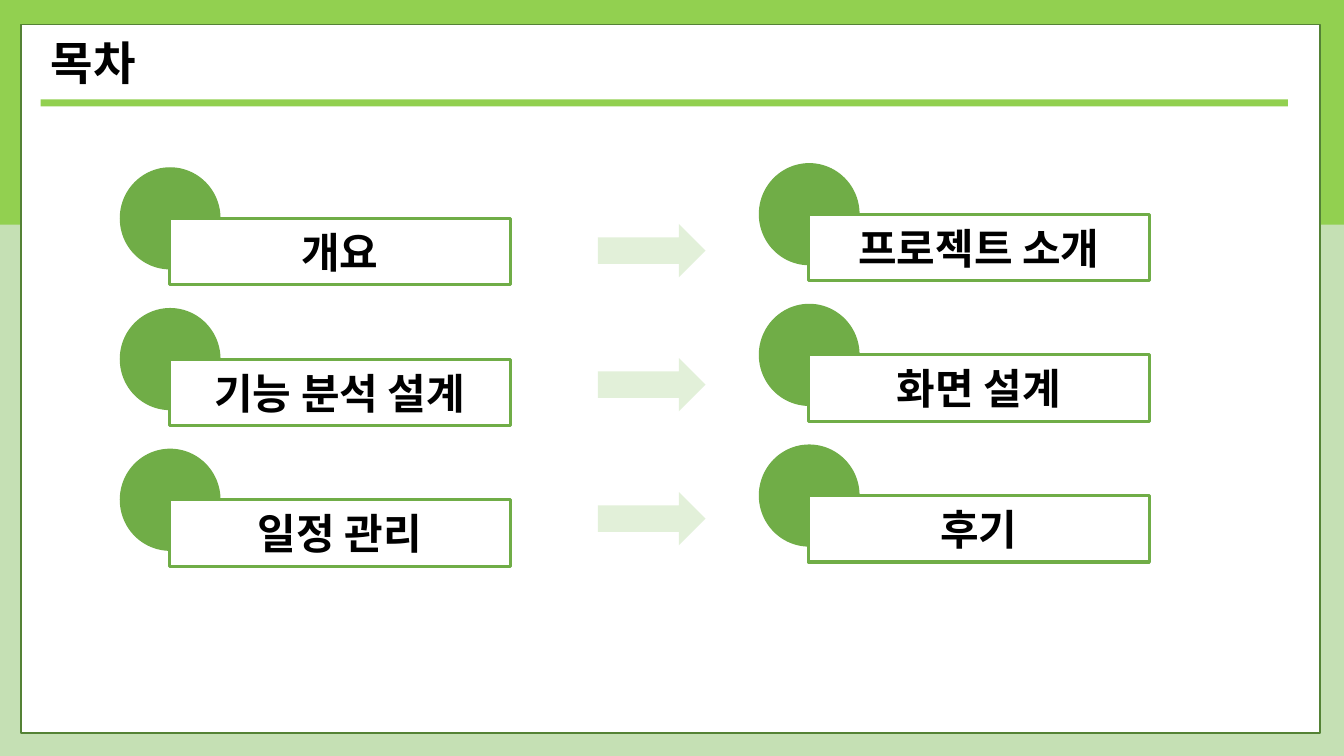
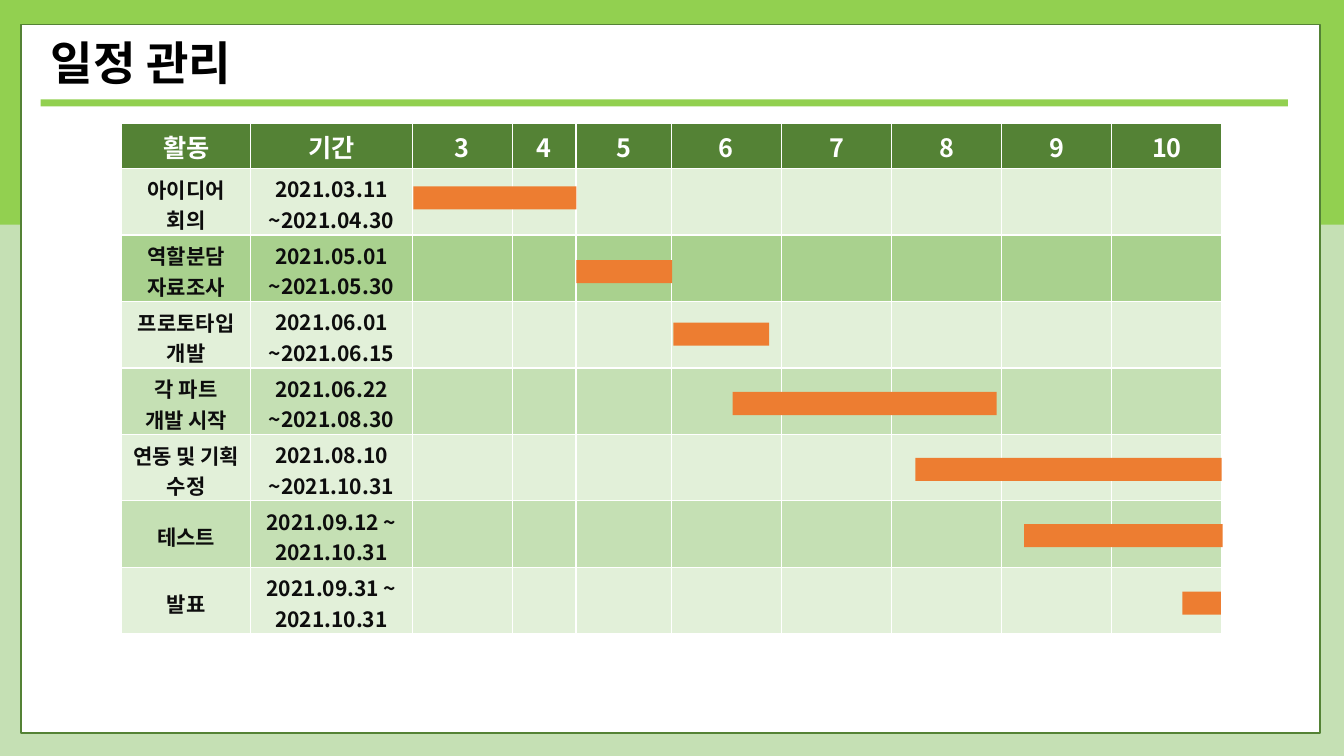
from lxml import etree
from pptx import Presentation
from pptx.dml.color import RGBColor
from pptx.enum import shapes, text
from pptx.oxml.ns import qn
from pptx.util import Pt

FONT = "Noto Sans CJK KR"
WHITE = RGBColor(0xFF, 0xFF, 0xFF)
BLACK = RGBColor(0, 0, 0)
INK = RGBColor(0x0D, 0x0D, 0x0D)
LIME = RGBColor(0x92, 0xD0, 0x50)
GREEN = RGBColor(0x70, 0xAD, 0x47)
DARK_GREEN = RGBColor(0x54, 0x82, 0x35)
MID_GREEN = RGBColor(0xA9, 0xD1, 0x8E)
SOFT_GREEN = RGBColor(0xC5, 0xE0, 0xB4)
PALE_GREEN = RGBColor(0xE2, 0xF0, 0xD9)
ORANGE = RGBColor(0xED, 0x7D, 0x31)

RECT = shapes.MSO_SHAPE.RECTANGLE
CENTER = text.PP_ALIGN.CENTER
MIDDLE = text.MSO_ANCHOR.MIDDLE
TOP = text.MSO_ANCHOR.TOP

BACKDROP = [
    ((0, 0, 960, 540), SOFT_GREEN, None),
    ((0, 0, 960, 160.5), LIME, None),
    ((15, 17.5, 928, 506), WHITE, DARK_GREEN),
    ((29, 71, 891, 5), LIME, None),
]

AGENDA_TITLE = "목차"
AGENDA_COLUMNS = [
    (121, 156, ["개요", "기능 분석 설계", "일정 관리"]),
    (577.5, 153, ["프로젝트 소개", "화면 설계", "후기"]),
]
ITEM_PITCH = 100.5
ARROW_PITCH = 95.75

SCHEDULE_TITLE = "일정 관리"
HEADINGS = ["활동", "기간", "3", "4", "5", "6", "7", "8", "9", "10"]
COLUMN_WIDTHS = [92, 115.5, 71.5, 45.5, 68] + [78.7] * 5
HEADER_HEIGHT, ROW_HEIGHT = 32.4, 47.5
BAR_HEIGHT = 16.5
TASKS = [
    ("아이디어 회의", "2021.03.11 ~2021.04.30", PALE_GREEN, (295.2, 133.2, 116.6)),
    ("역할분담\n자료조사", "2021.05.01 ~2021.05.30", MID_GREEN, (411.8, 185.8, 68.4)),
    ("프로토타입\n개발", "2021.06.01 ~2021.06.15", PALE_GREEN, (481, 230.4, 68.4)),
    ("각 파트\n개발 시작", "2021.06.22 ~2021.08.30", SOFT_GREEN, (523.4, 280, 188.6)),
    ("연동 및 기획 수정", "2021.08.10 ~2021.10.31", PALE_GREEN, (653.8, 327, 218.9)),
    ("테스트", "2021.09.12 ~ 2021.10.31", SOFT_GREEN, (731.5, 374.4, 141.8)),
    ("발표", "2021.09.31 ~ 2021.10.31", PALE_GREEN, (844.6, 422.6, 27.4)),
]


def write(frame, content, size, color, align=CENTER):
    frame.text = content
    for para in frame.paragraphs:
        para.alignment = align
        font = para.font
        font.size, font.bold, font.name = Pt(size), True, FONT
        font.color.rgb = color
        defaults = para._p.pPr.find(qn("a:defRPr"))
        etree.SubElement(defaults, qn("a:ea")).set("typeface", FONT)


def draw(parent, kind, area, fill=None, line=None, weight=1):
    shape = parent.shapes.add_shape(kind, *map(Pt, area))
    shape.shadow.inherit = False
    if fill is None:
        shape.fill.background()
    else:
        shape.fill.solid()
        shape.fill.fore_color.rgb = fill
    if line is None:
        shape.line.fill.background()
    else:
        shape.line.color.rgb = line
        shape.line.width = Pt(weight)
    return shape


def add_page(deck, heading):
    page = deck.slides.add_slide(deck.slide_layouts[5])
    for area, fill, line in BACKDROP:
        draw(page, RECT, area, fill, line)
    title = page.shapes.title
    title.element.getparent().append(title.element)
    title.left, title.top, title.width, title.height = map(Pt, (29, 21, 545, 47.5))
    frame = title.text_frame
    frame.auto_size = text.MSO_AUTO_SIZE.NONE
    frame.vertical_anchor = TOP
    write(frame, heading, 33, BLACK, text.PP_ALIGN.LEFT)
    return page


def add_agenda_item(page, left, top, label):
    group = page.shapes.add_group_shape()
    pie = draw(group, shapes.MSO_SHAPE.PIE, (left - 35.5, top - 35.5, 72, 71), GREEN, GREEN)
    pie.rotation = 90
    box = draw(group, RECT, (left, top, 243.5, 47.5), None, GREEN, 2.25)
    frame = box.text_frame
    frame.margin_top = frame.margin_bottom = 0
    frame.vertical_anchor = MIDDLE
    write(frame, label, 30, BLACK)


def build_agenda(deck):
    page = add_page(deck, AGENDA_TITLE)
    for left, top, labels in AGENDA_COLUMNS:
        for i, label in enumerate(labels):
            add_agenda_item(page, left, top + i * ITEM_PITCH, label)
    for i in range(3):
        draw(page, shapes.MSO_SHAPE.RIGHT_ARROW, (427, 160 + i * ARROW_PITCH, 77, 38), PALE_GREEN)


def fill_cell(cell, content, fill, size, color, anchor):
    cell.fill.solid()
    cell.fill.fore_color.rgb = fill
    cell.margin_bottom = 0
    cell.vertical_anchor = anchor
    write(cell.text_frame, content, size, color)


def build_schedule(deck):
    page = add_page(deck, SCHEDULE_TITLE)
    height = HEADER_HEIGHT + ROW_HEIGHT * len(TASKS)
    area = (87, 88, sum(COLUMN_WIDTHS), height)
    table = page.shapes.add_table(len(TASKS) + 1, len(HEADINGS), *map(Pt, area)).table
    for column, width in zip(table.columns, COLUMN_WIDTHS):
        column.width = Pt(width)
    for i, row in enumerate(table.rows):
        row.height = Pt(ROW_HEIGHT if i else HEADER_HEIGHT)
    for c, heading in enumerate(HEADINGS):
        fill_cell(table.cell(0, c), heading, DARK_GREEN, 18, WHITE, TOP)
    for r, (activity, period, fill, (left, top, width)) in enumerate(TASKS, 1):
        for c in range(len(HEADINGS)):
            content = (activity, period)[c] if c < 2 else ""
            fill_cell(table.cell(r, c), content, fill, 15, INK, TOP if c else MIDDLE)
        draw(page, RECT, (left, top, width, BAR_HEIGHT), ORANGE)


def main():
    deck = Presentation()
    deck.slide_width, deck.slide_height = Pt(960), Pt(540)
    build_agenda(deck)
    build_schedule(deck)
    deck.save("out.pptx")


if __name__ == "__main__":
    main()
